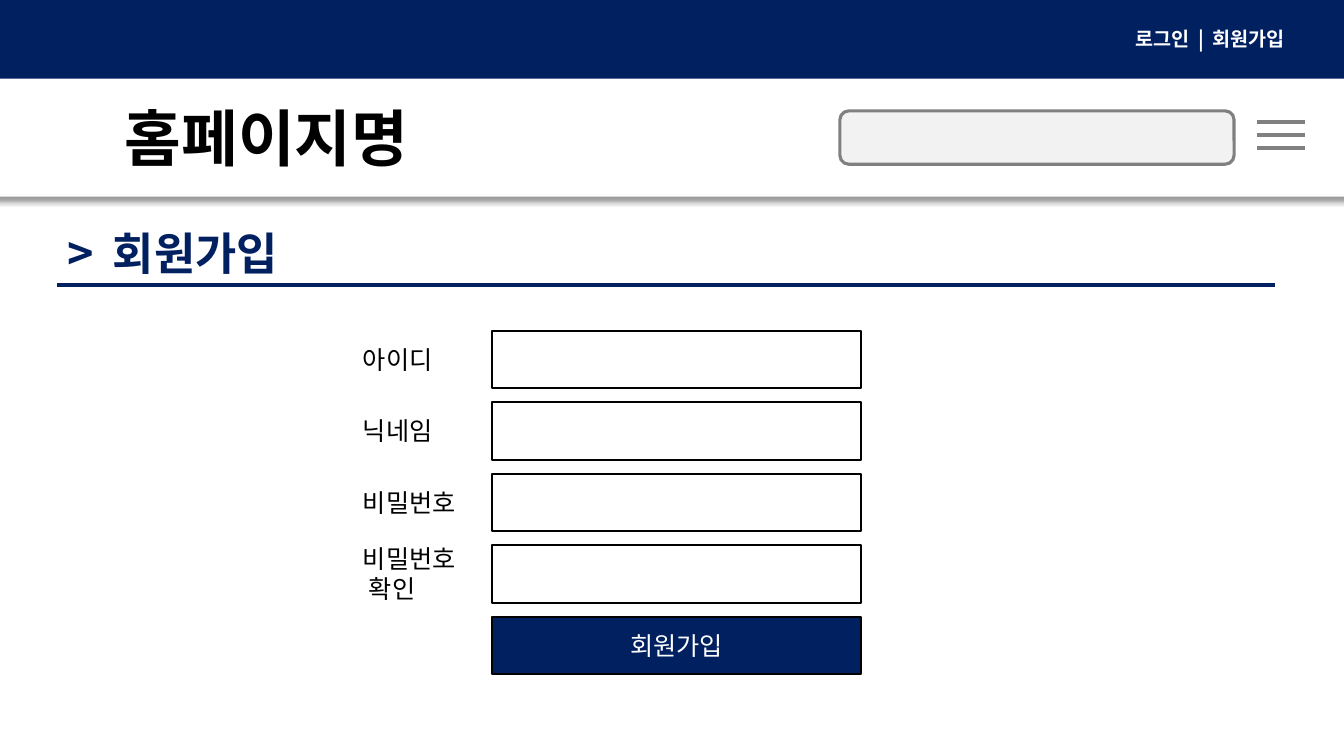
from lxml import etree
from pptx import Presentation
from pptx.dml.color import RGBColor
from pptx.enum.shapes import MSO_CONNECTOR, MSO_SHAPE
from pptx.enum.text import MSO_ANCHOR, MSO_AUTO_SIZE, PP_ALIGN
from pptx.oxml import parse_xml
from pptx.oxml.ns import nsdecls, qn
from pptx.util import Inches, Pt

FONT = "Noto Sans CJK KR"
NAVY, WHITE, BLACK, GRAY, PALE = "002060", "FFFFFF", "000000", "808080", "F2F2F2"

# text, left, top, width, height, size, colour, tab stops
HEADINGS = [
    ("로그인\t|\t회원가입", 11.16, 0.22, 1.77, 0.34, 14, WHITE, (0.63, 0.77)),
    ("홈페이지명", 1.14, 0.94, 3.29, 0.84, 44, BLACK, ()),
    (">\t회원가입", 0.57, 2.19, 2.48, 0.64, 32, NAVY, (0.45,)),
]
FIELDS = [["아이디"], ["닉네임"], ["비밀번호"], ["비밀번호", "확인"]]
BUTTON = "회원가입"

FIELD_LEFT, FIELD_TOP, FIELD_WIDTH, FIELD_HEIGHT = 4.88, 3.28, 3.66, 0.57
FIELD_PITCH = 0.71
LABEL_LEFT, LABEL_WIDTH, LABEL_HEIGHTS = 3.5, 1.21, {1: 0.4, 2: 0.71}
LABEL_INDENT = 0.06
MENU_LEFT, MENU_RIGHT, MENU_TOP, MENU_GAP = 12.47, 12.94, 1.21, 0.13


def color(value):
    return RGBColor.from_string(value)


def add_box(slide, left, top, width, height, fill=None, line=None, weight=1.5,
            kind=MSO_SHAPE.RECTANGLE):
    shape = slide.shapes.add_shape(
        kind, Inches(left), Inches(top), Inches(width), Inches(height))
    shape.shadow.inherit = False
    if fill:
        shape.fill.solid()
        shape.fill.fore_color.rgb = color(fill)
    else:
        shape.fill.background()
    if line:
        shape.line.color.rgb = color(line)
        shape.line.width = Pt(weight)
    else:
        shape.line.fill.background()
    return shape


def add_rule(slide, left, right, y, stroke):
    rule = slide.shapes.add_connector(
        MSO_CONNECTOR.STRAIGHT, Inches(left), Inches(y), Inches(right), Inches(y))
    rule.line.color.rgb = color(stroke)
    rule.line.width = Pt(3)
    etree.SubElement(rule._element.spPr, qn("a:effectLst"))


def style(paragraph, size, text_color, bold=False):
    font = paragraph.font
    font.name, font.size, font.bold = FONT, Pt(size), bold
    font.color.rgb = color(text_color)
    defaults = paragraph._p.pPr.find(qn("a:defRPr"))
    etree.SubElement(defaults, qn("a:ea")).set("typeface", FONT)


def add_text(slide, lines, left, top, width, height, size, text_color,
             bold=False, tabs=(), indent=0):
    """Add unwrapped lines; indent applies to every line after the first."""
    box = slide.shapes.add_textbox(
        Inches(left), Inches(top), Inches(width), Inches(height))
    frame = box.text_frame
    frame.word_wrap = False
    frame.auto_size = MSO_AUTO_SIZE.SHAPE_TO_FIT_TEXT
    for index, line in enumerate(lines):
        paragraph = frame.add_paragraph() if index else frame.paragraphs[0]
        paragraph.text = line
        properties = paragraph._p.get_or_add_pPr()
        if index:
            properties.set("marL", str(Inches(indent)))
        if tabs:
            tab_list = etree.SubElement(properties, qn("a:tabLst"))
            for position in tabs:
                tab = etree.SubElement(tab_list, qn("a:tab"))
                tab.set("pos", str(Inches(position)))
                tab.set("algn", "l")
        style(paragraph, size, text_color, bold)


def add_drop_shadow(shape):
    effects = shape._element.spPr.find(qn("a:effectLst"))
    effects.append(parse_xml(
        f'<a:outerShdw {nsdecls("a")} blurRad="{Pt(4)}" dist="{Pt(3)}" '
        'dir="5400000" algn="t" rotWithShape="0"><a:srgbClr val="000000">'
        '<a:alpha val="40000"/></a:srgbClr></a:outerShdw>'))


def add_header(slide):
    add_drop_shadow(add_box(slide, -0.08, 0.77, 13.5, 1.18, WHITE))
    add_box(slide, 0, 0, 13.33, 0.78, NAVY)
    add_box(slide, 8.33, 1.1, 3.91, 0.53, PALE, GRAY, 2.25,
            MSO_SHAPE.ROUNDED_RECTANGLE)
    for bar in range(3):
        add_rule(slide, MENU_LEFT, MENU_RIGHT, MENU_TOP + bar * MENU_GAP, GRAY)
    add_rule(slide, 0.57, 12.65, 2.83, NAVY)
    for text, left, top, width, height, size, text_color, tabs in HEADINGS:
        add_text(slide, [text], left, top, width, height, size, text_color,
                 bold=True, tabs=tabs)


def add_form(slide):
    for row, label in enumerate(FIELDS):
        top = FIELD_TOP + row * FIELD_PITCH
        add_box(slide, FIELD_LEFT, top, FIELD_WIDTH, FIELD_HEIGHT, line=BLACK)
        height = LABEL_HEIGHTS[len(label)]
        add_text(slide, label, LABEL_LEFT, top + (FIELD_HEIGHT - height) / 2,
                 LABEL_WIDTH, height, 18, BLACK, indent=LABEL_INDENT)
    button = add_box(slide, FIELD_LEFT, FIELD_TOP + len(FIELDS) * FIELD_PITCH,
                     FIELD_WIDTH, FIELD_HEIGHT, NAVY, BLACK)
    button.text_frame.vertical_anchor = MSO_ANCHOR.MIDDLE
    paragraph = button.text_frame.paragraphs[0]
    paragraph.text = BUTTON
    paragraph.alignment = PP_ALIGN.CENTER
    style(paragraph, 18, WHITE)


def main():
    presentation = Presentation()
    presentation.slide_width = Inches(13.33)
    presentation.slide_height = Inches(7.5)
    slide = presentation.slides.add_slide(presentation.slide_layouts[6])
    add_header(slide)
    add_form(slide)
    presentation.save("out.pptx")


if __name__ == "__main__":
    main()
